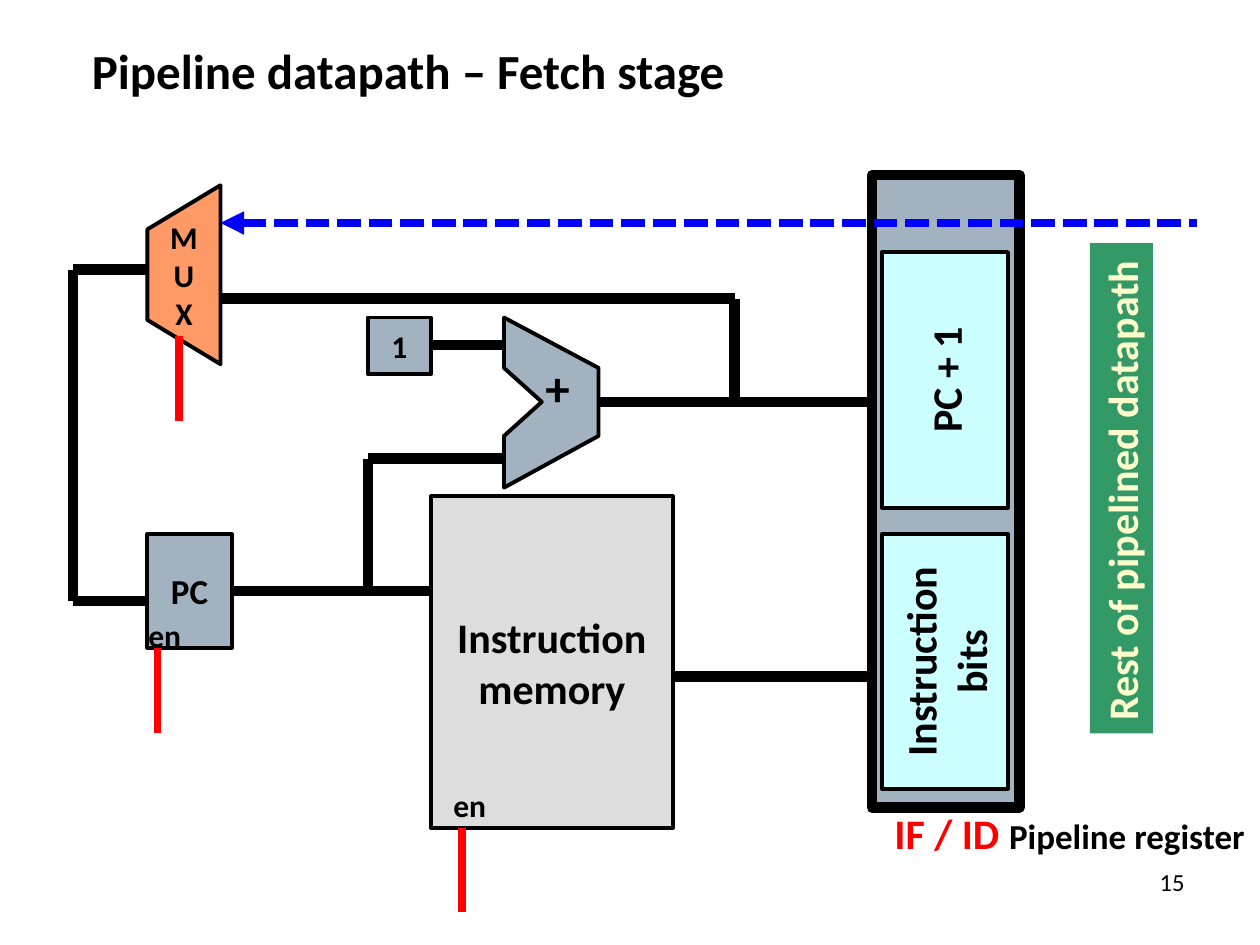
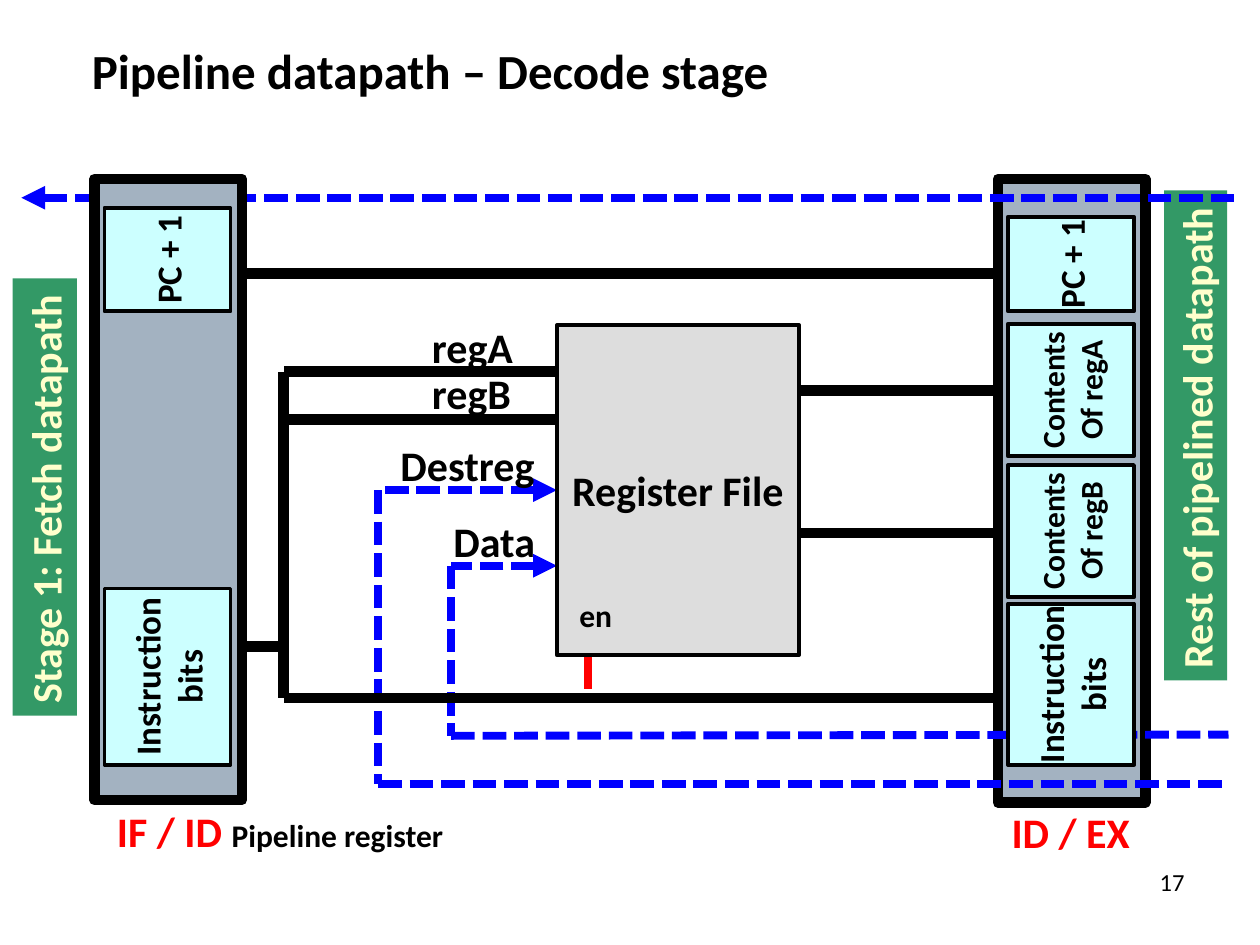
from itertools import pairwise

from lxml.etree import SubElement
from pptx import Presentation
from pptx.dml.color import RGBColor
from pptx.enum.dml import MSO_LINE
from pptx.enum.shapes import MSO_CONNECTOR, MSO_SHAPE
from pptx.enum.text import MSO_ANCHOR, PP_ALIGN
from pptx.oxml.ns import qn
from pptx.util import Inches, Pt

HUE = {
    "ink": "000000", "steel": "A3B2C1", "ice": "CCFFFF", "gray": "DDDDDD",
    "peach": "FF9966", "green": "339966", "cream": "FFFFCC",
    "red": "FF0000", "blue": "0000FF",
}
FONT = "Calibri"

# Box styles: fill, border points, turned text, text colour, alignment
BOX = {
    "register": ("steel", 6, False, "ink", PP_ALIGN.CENTER),
    "field": ("ice", 2.25, True, "ink", PP_ALIGN.CENTER),
    "unit": ("steel", 2.25, False, "ink", PP_ALIGN.CENTER),
    "memory": ("gray", 2.25, False, "ink", PP_ALIGN.CENTER),
    "mux": ("peach", 2.25, False, "ink", PP_ALIGN.CENTER),
    "tag": ("green", 0, True, "cream", PP_ALIGN.LEFT),
}
# Wire styles: colour, points, dotted, arrowhead at the first point
WIRE = {
    "data": ("ink", 6, False, False),
    "enable": ("red", 4.5, False, False),
    "back": ("blue", 4.5, True, True),
    "feed": ("blue", 4.5, True, False),
}

# Parts from back to front. Boxes give their frame as seen: x, y, w, h
FETCH = [
    ("box", "register", (6.92, 1.39, 1.17, 5.02), "", 18),
    ("box", "field", (7, 4.24, 1, 2.02), "Instruction\nbits", 24),
    ("box", "unit", (1.17, 4.24, 0.67, 0.9), "PC", 20),
    ("box", "memory", (3.42, 3.94, 1.92, 2.63), "Instruction\nmemory", 24),
    ("wire", "data", [(5.33, 5.37), (6.92, 5.37)]),
    ("wire", "enable", [(1.25, 5.14), (1.25, 5.82)]),
    ("wire", "enable", [(3.67, 6.57), (3.67, 7.24)]),
    ("label", (1.08, 4.84, 0.46, 0.4), "en", 18),
    ("label", (3.5, 6.19, 0.46, 0.4), "en", 18),
    ("wire", "data", [(1.83, 4.69), (3.42, 4.69)]),
    ("box", "unit", (2.92, 2.52, 0.5, 0.45), "1", 18),
    ("poly", "unit", [(4, 2.52), (4.75, 2.92), (4.75, 3.46), (4, 3.87),
                      (4, 3.46), (4.3, 3.19), (4, 2.92)], "", 18),
    ("label", (4.23, 2.79, 0.4, 0.57), "+", 28),
    ("poly", "mux", [(1.75, 2.89), (1.17, 2.54), (1.17, 1.82), (1.75, 1.47)],
     "M\nU\nX", 18),
    ("wire", "data", [(4.75, 3.19), (6.92, 3.19)]),
    ("wire", "data", [(1.75, 2.37), (5.83, 2.37), (5.83, 3.19)]),
    ("wire", "data", [(1.17, 2.14), (0.58, 2.14), (0.58, 4.77), (1.17, 4.77)]),
    ("wire", "enable", [(1.42, 2.67), (1.42, 3.34)]),
    ("wire", "data", [(3.42, 2.74), (4, 2.74)]),
    ("wire", "data", [(4, 3.64), (2.92, 3.64), (2.92, 4.69)]),
    ("wire", "back", [(1.75, 1.77), (9.5, 1.77)]),
    ("box", "tag", (8.65, 1.93, 0.5, 3.89), "Rest of pipelined datapath", 24),
    ("box", "field", (7, 2, 1, 2.03), "PC + 1", 24),
    ("name", (7, 6.36, 3, 0.5), "IF / ID ", "Pipeline register", 20),
]
DECODE = [
    ("box", "register", (7.92, 1.42, 1.17, 4.95), "", 18),
    ("name", (7.93, 6.35, 1.2, 0.5), "ID / EX", "", 18),
    ("box", "field", (8, 2.57, 1, 1.05), "Contents\nOf regA", 18),
    ("box", "field", (8, 3.69, 1, 1.05), "Contents\nOf regB", 18),
    ("wire", "back", [(4.42, 4.49), (3.58, 4.49), (3.58, 5.84), (9.75, 5.83)]),
    ("wire", "back", [(4.42, 3.89), (3, 3.89), (3, 6.22), (9.75, 6.22)]),
    ("label", (3.08, 3.44, 1.28, 0.51), "Destreg", 24),
    ("label", (3.5, 4.04, 0.86, 0.51), "Data", 24),
    ("wire", "enable", [(4.67, 5.1), (4.67, 5.47)]),
    ("box", "memory", (4.42, 2.58, 1.92, 2.62), "Register File", 24),
    ("wire", "data", [(6.33, 3.1), (7.92, 3.1)]),
    ("wire", "data", [(6.33, 4.23), (7.92, 4.23)]),
    ("wire", "data", [(4.42, 2.95), (2.25, 2.95), (2.25, 5.54), (7.92, 5.54)]),
    ("wire", "data", [(2.25, 3.33), (4.42, 3.33)]),
    ("wire", "data", [(2.25, 5.13), (1.92, 5.13)]),
    ("label", (3.33, 2.5, 0.85, 0.5), "regA", 24),
    ("label", (3.33, 2.87, 0.84, 0.5), "regB", 24),
    ("label", (4.5, 4.68, 0.46, 0.4), "en", 18),
    ("box", "tag", (9.24, 1.51, 0.5, 3.89), "Rest of pipelined datapath", 24),
    ("box", "field", (8, 1.72, 1, 0.75), "PC + 1", 20),
    ("wire", "data", [(1.92, 2.17), (7.92, 2.17)]),
    ("wire", "back", [(0.17, 1.57), (9.83, 1.57)]),
    ("box", "field", (8, 4.79, 1, 1.28), "Instruction\nbits", 20),
    ("box", "register", (0.75, 1.42, 1.17, 4.93), "", 18),
    ("box", "field", (0.83, 4.67, 1, 1.4), "Instruction\nbits", 20),
    ("name", (0.83, 6.34, 3.25, 0.5), "IF / ID ", "Pipeline register", 18),
    ("box", "field", (0.83, 1.65, 1, 0.82), "PC + 1", 20),
    ("box", "tag", (0.1, 2.21, 0.51, 3.47), "Stage 1: Fetch datapath", 24),
]
SLIDES = [
    ("Pipeline datapath – Fetch stage", "15", FETCH),
    ("Pipeline datapath – Decode stage", "17", DECODE),
]


def rgb(name):
    return RGBColor.from_string(HUE[name])


def put(obj, vals):
    for key, val in vals.items():
        setattr(obj, key, val)


def add_run(para, text, size, hue="ink", bold=True):
    run = para.add_run()
    run.text = text
    put(run.font, {"name": FONT, "size": Pt(size), "bold": bold})
    run.font.color.rgb = rgb(hue)


def write(frame, text, size, hue="ink", align=PP_ALIGN.LEFT, bold=True):
    for i, line in enumerate(text.split("\n")):
        para = frame.add_paragraph() if i else frame.paragraphs[0]
        para.alignment = align
        add_run(para, line, size, hue, bold)


def dress(shape, style, text, size):
    fill, edge, _, hue, align = BOX[style]
    shape.shadow.inherit = False
    shape.fill.solid()
    shape.fill.fore_color.rgb = rgb(fill)
    if edge:
        shape.line.color.rgb = rgb("ink")
        shape.line.width = Pt(edge)
    else:
        shape.line.fill.background()
    if text:
        put(shape.text_frame, {"word_wrap": False,
                               "vertical_anchor": MSO_ANCHOR.MIDDLE})
        write(shape.text_frame, text, size, hue, align)


def add_box(slide, style, area, text, size):
    x, y, w, h = area
    turn = BOX[style][2]
    if turn:  # swap the sides about the centre
        x, y, w, h = x + (w - h) / 2, y + (h - w) / 2, h, w
    shape = slide.shapes.add_shape(MSO_SHAPE.RECTANGLE, *map(Inches, (x, y, w, h)))
    shape.rotation = 270 if turn else 0
    dress(shape, style, text, size)


def add_poly(slide, style, points, text, size):
    spots = [(Inches(x), Inches(y)) for x, y in points]
    path = slide.shapes.build_freeform(*spots[0])
    path.add_line_segments(spots[1:], close=True)
    dress(path.convert_to_shape(), style, text, size)


def add_wire(slide, style, points):
    hue, width, dotted, arrow = WIRE[style]
    for i, (a, b) in enumerate(pairwise(points)):
        line = slide.shapes.add_connector(MSO_CONNECTOR.STRAIGHT, *map(Inches, a + b))
        line.line.color.rgb = rgb(hue)
        line.line.width = Pt(width)
        if dotted:
            line.line.dash_style = MSO_LINE.SQUARE_DOT
        if arrow and i == 0:
            SubElement(line.line._get_or_add_ln(), qn("a:headEnd"), type="triangle")
        SubElement(line._element.spPr, qn("a:effectLst"))


def add_text(slide, area, wrap):
    frame = slide.shapes.add_textbox(*map(Inches, area)).text_frame
    frame.word_wrap = wrap
    return frame


def add_label(slide, area, text, size):
    write(add_text(slide, area, False), text, size)


def add_name(slide, area, stage, note, size):
    frame = add_text(slide, area, True)
    write(frame, stage, 24, "red")
    if note:
        add_run(frame.paragraphs[0], note, size)


def add_head(slide, text, page):
    title = slide.shapes.title
    put(title, {"left": Inches(0.63), "top": Inches(-0.08),
                "width": Inches(8.75), "height": Inches(0.92)})
    title.text_frame.vertical_anchor = MSO_ANCHOR.BOTTOM
    write(title.text_frame, text, 28)
    write(add_text(slide, (7.17, 6.83, 2.33, 0.52), True), page, 14,
          align=PP_ALIGN.RIGHT, bold=False)


DRAW = {"box": add_box, "poly": add_poly, "wire": add_wire,
        "label": add_label, "name": add_name}


def main():
    deck = Presentation()
    put(deck, {"slide_width": Inches(10), "slide_height": Inches(7.5)})
    for title, page, parts in SLIDES:
        slide = deck.slides.add_slide(deck.slide_layouts[5])
        add_head(slide, title, page)
        for kind, *args in parts:
            DRAW[kind](slide, *args)
    deck.save("out.pptx")


if __name__ == "__main__":
    main()
